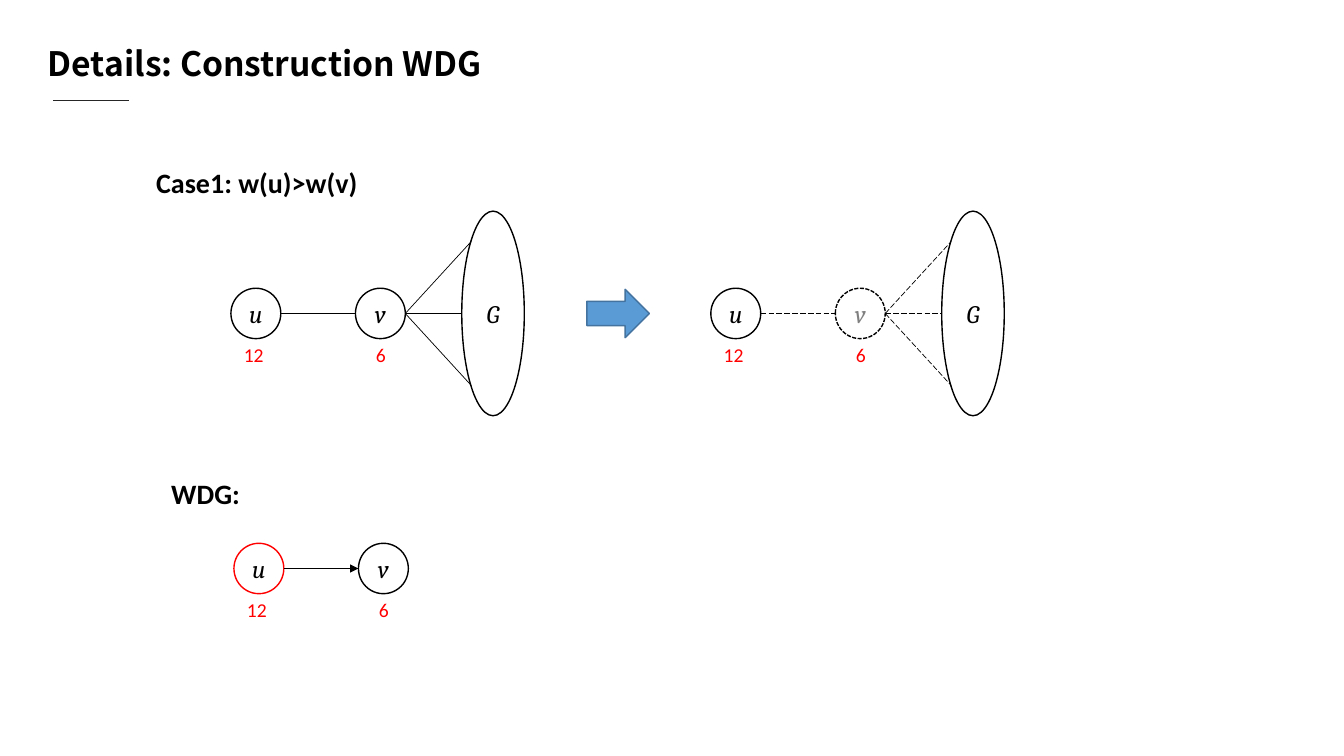
from pptx import Presentation
from pptx.dml.color import RGBColor
from pptx.enum.dml import MSO_LINE_DASH_STYLE as Dash
from pptx.enum.shapes import MSO_CONNECTOR as Connector, MSO_SHAPE as Shape
from pptx.enum.text import MSO_ANCHOR as Anchor, PP_ALIGN as Align
from pptx.oxml.ns import qn
from pptx.util import Inches, Pt
from lxml.etree import SubElement

COLOURS = {"ink": "000000", "rule": "262626", "weight": "FF0000", "faded": "808080",
           "paper": "FFFFFF", "arrow": "5B9BD5", "arrow edge": "43739E"}
CELL = Inches(0.1)  # square grid: 133.3 columns by 75 rows
NODE_WIDTH, NODE_HEIGHT = 4.95, 5
NODE_STEP = 12.35  # from u to v
GRAPH_STEP, GRAPH_WIDTH, GRAPH_HEIGHT = 22.9, 6.2, 20.3
FAN_STEP, FAN_RISE = 23.85, 7.15


def grid(*cells):
    return [round(cell * CELL) for cell in cells]


def colour(name):
    return RGBColor.from_string(COLOURS[name])


def style_text(para, text, font, size, ink="ink", bold=False, italic=False):
    para.text = text
    para.font.name, para.font.size = font, Pt(size)
    para.font.bold, para.font.italic = bold, italic
    para.font.color.rgb = colour(ink)


def add_text(page, place, text, font, size, ink="ink", bold=False, inset=None):
    box = page.shapes.add_textbox(*grid(*place))
    frame = box.text_frame
    frame.word_wrap = True
    if inset:
        frame.margin_left, frame.margin_right = grid(inset, inset)
        frame.margin_top, frame.margin_bottom = grid(inset / 2, inset / 2)
    style_text(frame.paragraphs[0], text, font, size, ink, bold)


def add_outlined(page, kind, place, edge="ink", fill=None, dash=None):
    shape = page.shapes.add_shape(kind, *grid(*place))
    shape.shadow.inherit = False
    if fill:
        shape.fill.solid()
        shape.fill.fore_color.rgb = colour(fill)
    else:
        shape.fill.background()
    shape.line.color.rgb = colour(edge)
    shape.line.width = Pt(1)
    if dash:
        shape.line.dash_style = dash
    return shape


def add_ellipse(page, place, name, ink="ink", **outline):
    shape = add_outlined(page, Shape.OVAL, place, **outline)
    shape.text_frame.vertical_anchor = Anchor.MIDDLE
    para = shape.text_frame.paragraphs[0]
    para.alignment = Align.CENTER
    style_text(para, name, "Cambria", 18, ink, italic=True)


def add_line(page, start, end, ink="ink", width=0.5, dash=None, arrow=False):
    line = page.shapes.add_connector(Connector.STRAIGHT, *grid(*start, *end))
    line.line.color.rgb = colour(ink)
    line.line.width = Pt(width)
    if dash:
        line.line.dash_style = dash
    if arrow:
        SubElement(line.line._get_or_add_ln(), qn("a:tailEnd"), type="triangle")
    SubElement(line._element.spPr, qn("a:effectLst"))


def add_pair(page, left, middle, u_edge="ink", v_ink="ink", v_dash=None,
             edge_dash=None, arrow=False):
    """Nodes u and v with the edge between them and their weights."""
    top = middle - NODE_HEIGHT / 2
    add_ellipse(page, (left, top, NODE_WIDTH, NODE_HEIGHT), "u",
                edge=u_edge, fill="paper")
    add_ellipse(page, (left + NODE_STEP, top, NODE_WIDTH, NODE_HEIGHT), "v", v_ink,
                fill="paper", dash=v_dash)
    add_line(page, (left + NODE_WIDTH, middle), (left + NODE_STEP, middle),
             dash=edge_dash, arrow=arrow)
    for step, weight in ((0.3, "12"), (13.4, "6")):
        add_text(page, (left + step, middle + 2.4, 4.3, 3.4), weight,
                 "Calibri", 14, "weight")


def add_graph(page, left, middle, dash=None):
    """Rest of the graph, G, joined to v by a fan of edges."""
    hub = (left + NODE_STEP + NODE_WIDTH, middle)
    for step, rise in ((FAN_STEP, -FAN_RISE), (GRAPH_STEP, 0), (FAN_STEP, FAN_RISE)):
        add_line(page, hub, (left + step, middle + rise), dash=dash)
    add_ellipse(page, (left + GRAPH_STEP, middle - GRAPH_HEIGHT / 2,
                       GRAPH_WIDTH, GRAPH_HEIGHT), "G")


def main():
    deck = Presentation()
    deck.slide_width, deck.slide_height = Inches(13.33), Inches(7.5)
    page = deck.slides.add_slide(deck.slide_layouts[6])

    # Title and headings
    add_text(page, (4, 3.9, 83.6, 4.8), "Details: Construction WDG",
             "Noto Sans CJK SC", 24, bold=True, inset=0.75)
    add_line(page, (5.3, 10), (12.8, 10), "rule", 0.75)
    add_text(page, (14.5, 15.9, 22.9, 4.4), "Case1: w(u)>w(v)", "Calibri", 20, bold=True)
    add_text(page, (16, 46.8, 18.5, 4.4), "WDG:", "Calibri", 20, bold=True)

    # Case 1 before and after removing v
    case_row = 31.1
    add_pair(page, 22.9, case_row)
    add_graph(page, 22.9, case_row)
    add_outlined(page, Shape.RIGHT_ARROW, (58.2, case_row - 2.4, 6.2, 4.8),
                 "arrow edge", "arrow")
    add_pair(page, 70.5, case_row, v_ink="faded", v_dash=Dash.SQUARE_DOT,
             edge_dash=Dash.LONG_DASH)
    add_graph(page, 70.5, case_row, Dash.LONG_DASH)

    # Resulting directed graph
    add_pair(page, 23.2, 56.4, u_edge="weight", arrow=True)

    deck.save("out.pptx")


if __name__ == "__main__":
    main()
